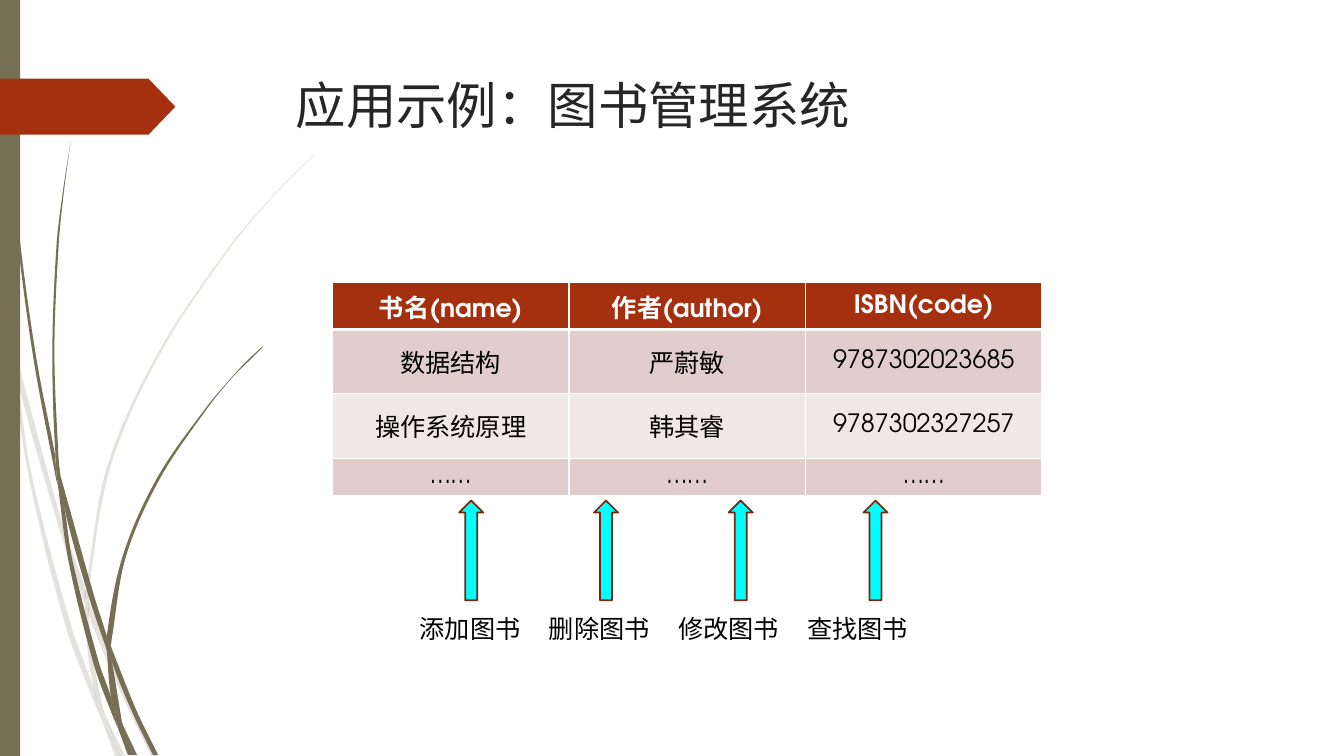
from math import dist

from lxml import etree
from pptx import Presentation
from pptx.dml.color import RGBColor
from pptx.enum import shapes, text
from pptx.oxml import ns
from pptx.util import Pt

FONT = "TeX Gyre Adventor"
OLIVE = RGBColor(0x76, 0x6F, 0x54)
RUST = RGBColor(0xA5, 0x30, 0x10)
DARK_RUST = RGBColor(0x7A, 0x24, 0x0C)
CYAN = RGBColor(0x00, 0xFF, 0xFF)
ROSE = RGBColor(0xE1, 0xCD, 0xCC)
PALE_ROSE = RGBColor(0xF0, 0xE8, 0xE7)
WHITE = RGBColor(0xFF, 0xFF, 0xFF)
BLACK = RGBColor(0, 0, 0)
CHARCOAL = RGBColor(0x26, 0x26, 0x26)

# Outlines of the grass blades, in points
PALE_BLADES = [
    [(7.9, 252), (6.5, 231.8), (0, 203), (0, 215.3), (7.2, 247.7)],
    [(41.8, 375.8), (60.5, 431.3), (61.2, 421.9), (44.6, 374.4), (10.1, 248.4), (12.2, 270.7)],
    [(66.2, 437), (63.4, 429.1), (63.4, 439.2), (88.6, 499.7), (108, 540), (111.6, 540),
     (91.4, 498.2)],
    [(85.7, 540), (89.3, 540), (75.6, 511.9)],
    [(67, 491.8), (50.4, 445.7), (22.3, 337.7), (12.2, 270.7), (7.9, 252), (20.2, 338.4),
     (46.8, 447.1), (66.2, 499), (72.7, 514.1), (71.3, 509)],
    [(60.5, 431.3), (62.6, 465.1), (67, 491.8), (69.1, 498.2), (75.6, 511.9), (74.2, 508.3),
     (65.5, 465.1), (63.4, 439.2), (63.4, 437.8)],
    [(63.4, 420.5), (79.2, 332.6), (115.2, 251.3), (164.9, 176.4), (193, 142.6), (208.8, 126),
     (224.6, 110.9), (224.6, 110.2), (208.1, 126), (193, 141.8), (164.2, 175.7),
     (113.8, 250.6), (77, 331.9), (61.2, 420.5), (61.2, 421.9), (63.4, 429.1)],
    [(72.7, 514.1), (82.1, 540), (85.7, 540)],
    [(63.4, 437.8), (63.4, 439.2), (63.4, 429.1), (61.2, 421.9), (60.5, 431.3)],
    [(69.1, 498.2), (67, 491.8), (71.3, 509), (72.7, 514.1), (85.7, 540), (75.6, 511.9)],
]
DARK_BLADES = [
    [(5, 79.2), (12.2, 167.8), (23.8, 255.6), (40.3, 343.4), (41, 346.3), (39.6, 329),
     (39.6, 326.2), (25.9, 255.6), (13.7, 167), (5.8, 78.5), (3.6, 34.6), (2.2, 0),
     (2.2, 34.6)],
    [(63.4, 426.2), (76.3, 464.4), (76.3, 455.8), (76.3, 454.3), (67, 424.8), (43.2, 339.8),
     (46.1, 363.6)],
    [(81.4, 467.3), (79.2, 461.5), (79.9, 472.3), (95, 509.8), (109.4, 539.3), (113, 539.3),
     (97.9, 508.3)],
    [(79.2, 497.5), (70.6, 473), (51.8, 400.3), (46.1, 363.6), (41, 343.4), (49, 401),
     (67, 474.5), (79.9, 509.8), (84.2, 519.8), (83.5, 516.2)],
    [(43.2, 339.8), (41.8, 326.2), (38.9, 251.3), (41.8, 176.4), (45.4, 139), (50.4, 101.5),
     (44.6, 139), (40.3, 176.4), (37.4, 251.3), (39.6, 323.3)],
    [(95.8, 539.3), (97.9, 539.3), (87.8, 517.7)],
    [(41, 343.4), (46.1, 363.6), (43.2, 339.8), (39.6, 323.3), (39.6, 326.2)],
    [(79.9, 455.8), (90, 397.4), (113.8, 342.7), (147.6, 292.3), (166.3, 269.3),
     (177.1, 258.5), (187.9, 247.7), (187.2, 247.7), (176.4, 257.8), (166.3, 268.6),
     (146.9, 291.6), (112.3, 341.3), (87.8, 396.7), (76.3, 454.3), (79.2, 461.5)],
    [(84.2, 519.8), (91.4, 539.3), (94.3, 539.3)],
    [(76.3, 464.4), (79.2, 497.5), (83.5, 508.3), (87.8, 517.7), (87.1, 515.5),
     (79.9, 472.3), (78.5, 468.7)],
    [(76.3, 464.4), (78.5, 468.7), (79.9, 472.3), (79.2, 461.5), (76.3, 454.3), (76.3, 455.8)],
    [(83.5, 508.3), (79.2, 497.5), (83.5, 516.2), (84.2, 519.8), (93.6, 539.3),
     (95.8, 539.3), (87.8, 517.7)],
]
BOOKS = [
    ("书名(name)", "作者(author)", "ISBN(code)"),
    ("数据结构", "严蔚敏", "9787302023685"),
    ("操作系统原理", "韩其睿", "9787302327257"),
    ("……", "……", "……"),
]
ROW_HEIGHTS = [26.64, 46, 46, 26.64]
ROW_FILLS = [RUST, ROSE, PALE_ROSE, ROSE]
OPERATIONS = ["添加图书", "删除图书", "修改图书", "查找图书"]


def paint(shape, fill, line=None):
    shape.shadow.inherit = False
    shape.fill.solid()
    shape.fill.fore_color.rgb = fill
    if line is None:
        shape.line.fill.background()
    else:
        shape.line.color.rgb = line
        shape.line.width = Pt(1.25)


def style_text(paragraph, size, color, bold=False):
    for run in paragraph.runs:
        run.font.name = FONT
        run.font.size = Pt(size)
        run.font.bold = bold
        run.font.color.rgb = color


def direction(start, end):
    length = dist(start, end)
    return [(e - s) / length for s, e in zip(start, end)]


def handle(before, point, after, toward):
    """Control point a third of the way to a neighbour; corners stay sharp."""
    arriving, leaving = direction(before, point), direction(point, after)
    smooth = sum(a * b for a, b in zip(arriving, leaving)) > 0.8
    heading = direction(before, after) if smooth else direction(point, toward)
    reach = dist(point, toward) / 3 * (-1 if smooth and toward == before else 1)
    return [p + h * reach for p, h in zip(point, heading)]


def add_blade(slide, outline, alpha=None):
    points = [(Pt(x), Pt(y)) for x, y in outline]
    builder = slide.shapes.build_freeform(*points[0])
    builder.add_line_segments(points[1:] + points[:1], close=True)
    blade = builder.convert_to_shape()
    paint(blade, OLIVE)
    if alpha:
        color = blade.fill._xPr.find(".//" + ns.qn("a:srgbClr"))
        etree.SubElement(color, ns.qn("a:alpha"), val=str(alpha * 1000))
    # Bend each straight side into a curve
    count = len(points)
    for i, side in enumerate(list(blade._element.iter(ns.qn("a:lnTo")))):
        a, b, c, d = (points[(i + k) % count] for k in (-1, 0, 1, 2))
        side.tag = ns.qn("a:cubicBezTo")
        for order, (x, y) in enumerate((handle(a, b, c, c), handle(b, c, d, b))):
            side.insert(order, etree.Element(
                ns.qn("a:pt"), x=str(round(x - blade.left)), y=str(round(y - blade.top))))


def add_preset(slide, kind, left, top, width, height, fill, line=None):
    shape = slide.shapes.add_shape(kind, Pt(left), Pt(top), Pt(width), Pt(height))
    paint(shape, fill, line)
    return shape


def add_cell_borders(cell, top_width, bottom_width):
    properties = cell._tc.get_or_add_tcPr()
    widths = {"a:lnL": 1, "a:lnR": 1, "a:lnT": top_width, "a:lnB": bottom_width}
    for index, (tag, width) in enumerate(widths.items()):
        border = etree.Element(ns.qn(tag), w=str(Pt(width)))
        fill = etree.SubElement(border, ns.qn("a:solidFill"))
        etree.SubElement(fill, ns.qn("a:srgbClr"), val=str(WHITE))
        properties.insert(index, border)


def add_book_table(slide):
    books = slide.shapes.add_table(
        len(BOOKS), len(BOOKS[0]), Pt(237.4), Pt(202), Pt(507), Pt(145.28)).table
    for row, (values, height) in enumerate(zip(BOOKS, ROW_HEIGHTS)):
        header = row == 0
        books.rows[row].height = Pt(height)
        for column, value in enumerate(values):
            cell = books.cell(row, column)
            cell.vertical_anchor = text.MSO_ANCHOR.MIDDLE
            cell.fill.solid()
            cell.fill.fore_color.rgb = ROW_FILLS[row]
            add_cell_borders(cell, 3 if row == 1 else 1, 3 if header else 1)
            cell.text_frame.text = value
            paragraph = cell.text_frame.paragraphs[0]
            paragraph.alignment = text.PP_ALIGN.CENTER
            style_text(paragraph, 18, WHITE if header else BLACK, header)


def add_operations(slide):
    captions = slide.shapes.add_textbox(Pt(292.7), Pt(434.4), Pt(396), Pt(29)).text_frame
    captions.word_wrap = True
    captions.text = "\t".join(OPERATIONS)
    paragraph = captions.paragraphs[0]
    style_text(paragraph, 18, BLACK)
    stops = etree.SubElement(paragraph._p.get_or_add_pPr(), ns.qn("a:tabLst"))
    for index in range(len(OPERATIONS)):
        add_preset(slide, shapes.MSO_SHAPE.UP_ARROW,
                   328 + 96.25 * index, 357.5, 17.2, 71.3, CYAN, DARK_RUST)
        if index:
            etree.SubElement(stops, ns.qn("a:tab"), pos=str(Pt(92.3 * index)), algn="l")


def set_title(slide, wording):
    title = slide.shapes.title
    title.left, title.top, title.width, title.height = Pt(204), Pt(49), Pt(702), Pt(100.8)
    title.text_frame.text = wording
    title.text_frame.vertical_anchor = text.MSO_ANCHOR.TOP
    title.text_frame.auto_size = text.MSO_AUTO_SIZE.NONE
    title.text_frame.paragraphs[0].alignment = text.PP_ALIGN.LEFT
    style_text(title.text_frame.paragraphs[0], 36, CHARCOAL)


def main():
    deck = Presentation()
    deck.slide_width, deck.slide_height = Pt(960), Pt(540)
    slide = deck.slides.add_slide(deck.slide_layouts[5])
    # Decoration on the left side
    for outline in PALE_BLADES:
        add_blade(slide, outline, alpha=20)
    for outline in DARK_BLADES:
        add_blade(slide, outline)
    add_preset(slide, shapes.MSO_SHAPE.RECTANGLE, 0, 0, 14.4, 540, OLIVE)
    tag = add_preset(slide, shapes.MSO_SHAPE.PENTAGON, 0, 56.2, 125.3, 40, RUST)
    tag.adjustments[0] = 0.48
    # Content
    set_title(slide, "应用示例：图书管理系统")
    add_book_table(slide)
    add_operations(slide)
    deck.save("out.pptx")


if __name__ == "__main__":
    main()
